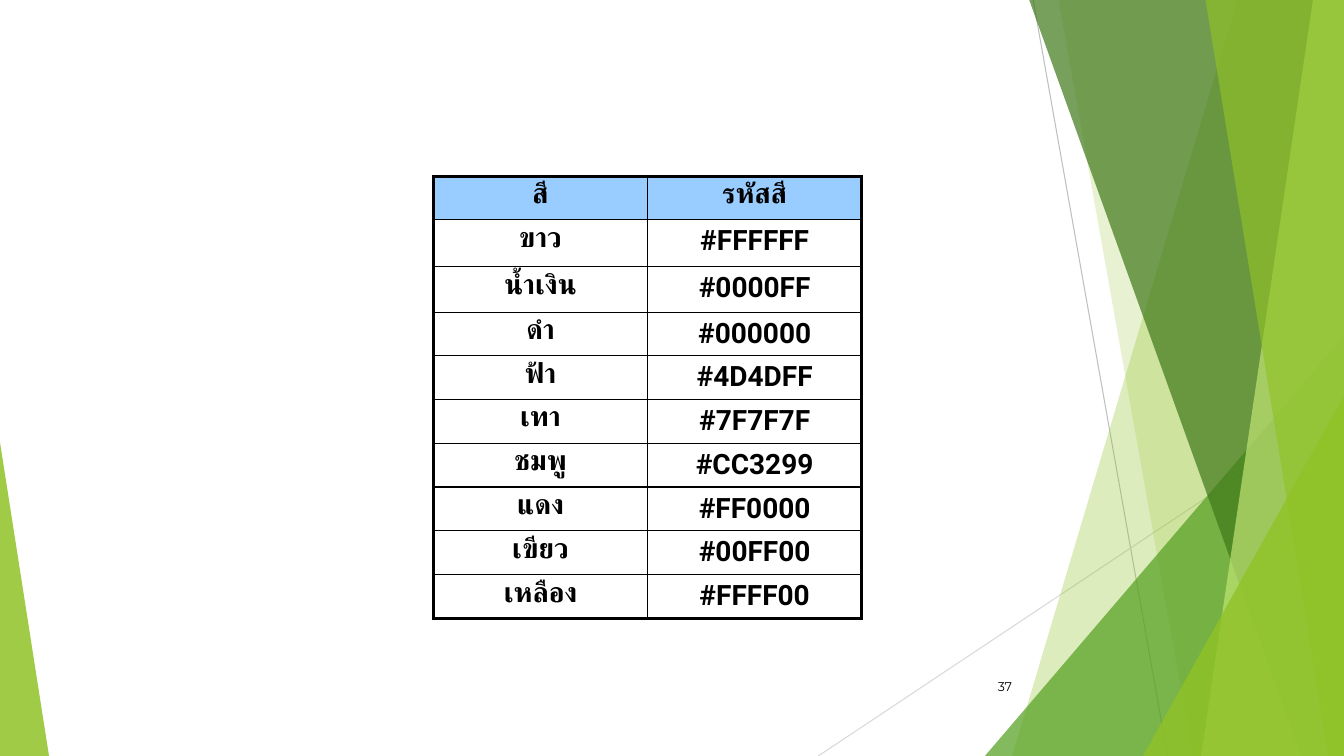
from lxml import etree
from pptx import Presentation
from pptx import util as u
from pptx.dml import color
from pptx.enum import shapes, text
from pptx.oxml import ns

C = {"black": "000000", "header": "99CCFF", "lime": "90C226", "pale": "C0E474",
     "green": "54A021", "dark": "3F7819", "gray": "BFBFBF", "silver": "D9D9D9"}


def add_text(tf, content, size, font, bold=False, align=text.PP_ALIGN.CENTER):
    p = tf.paragraphs[0]
    p.alignment = align
    r = p.add_run()
    r.text = content
    r.font.size = u.Pt(size)
    r.font.name = font
    r.font.bold = bold
    r.font.color.rgb = color.RGBColor.from_string(C["black"])


def paint(sp, name, opacity):
    sp.shadow.inherit = False
    sp.line.fill.background()
    sp.fill.solid()
    sp.fill.fore_color.rgb = color.RGBColor.from_string(C[name])
    rgb = sp.fill._xPr.find(".//" + ns.qn("a:srgbClr"))
    etree.SubElement(rgb, ns.qn("a:alpha"), val=str(opacity * 1000))


W, H, TOP = 960, 540, -0.6
prs = Presentation()
prs.slide_width, prs.slide_height = u.Pt(W), u.Pt(H)
s = prs.slides.add_slide(prs.slide_layouts[6])

for x1, y1, x2, y2, name in [(738, 0, 834, H, "gray"), (W, 290, 584.5, H, "silver")]:
    line = s.shapes.add_connector(shapes.MSO_CONNECTOR.STRAIGHT,
                                  u.Pt(x1), u.Pt(y1), u.Pt(x2), u.Pt(y2))
    line.line.width = u.Pt(0.75)
    line.line.color.rgb = color.RGBColor.from_string(C[name])
    etree.SubElement(line._element.spPr, ns.qn("a:effectLst"))

facets = [
    ("band", 884, 723, "lime", 30),
    ("band", 756, 852, "lime", 20),
    ("triangle", (703.5, 240, 256.5, 300), 1, "green", 72),
    ("band", 735, 929.5, "dark", 70),
    ("band", 938, 858, "pale", 70),
    ("band", 861, 949, "lime", 65),
    ("triangle", (816.5, 283, 143.5, 257), 1, "lime", 80),
    ("triangle", (0, 316, 35, 224), 0, "lime", 85),
]
for kind, a, b, name, opacity in facets:
    if kind == "band":
        outline = s.shapes.build_freeform(u.Pt(a), u.Pt(TOP))
        outline.add_line_segments([(u.Pt(x), u.Pt(y)) for x, y in [(W, TOP), (W, H), (b, H)]])
        sp = outline.convert_to_shape()
    else:
        sp = s.shapes.add_shape(shapes.MSO_SHAPE.ISOSCELES_TRIANGLE, *map(u.Pt, a))
        sp.adjustments[0] = b
    paint(sp, name, opacity)

rows = [("สี", "รหัสสี"), ("ขาว", "#FFFFFF"), ("น้ำเงิน", "#0000FF"), ("ดำ", "#000000"),
        ("ฟ้า", "#4D4DFF"), ("เทา", "#7F7F7F"), ("ชมพู", "#CC3299"), ("แดง", "#FF0000"),
        ("เขียว", "#00FF00"), ("เหลือง", "#FFFF00")]
heights = [31, 33.5, 32.5, 31] + [31.3] * 6
last = len(rows) - 1
table = s.shapes.add_table(len(rows), 2, u.Pt(309.6), u.Pt(126),
                           u.Pt(306), u.Pt(sum(heights))).table
table.first_row = table.horz_banding = False
for i, row in enumerate(rows):
    table.rows[i].height = u.Pt(heights[i])
    for j, content in enumerate(row):
        cell = table.cell(i, j)
        add_text(cell.text_frame, content, 20, "Roboto", bold=True)
        tcPr = cell._tc.get_or_add_tcPr()
        for tag, outer in [("lnL", j == 0), ("lnR", j == 1), ("lnT", i == 0), ("lnB", i == last)]:
            ln = etree.SubElement(tcPr, ns.qn("a:" + tag), w=str(u.Pt(2.25 if outer else 1)))
            fill = etree.SubElement(ln, ns.qn("a:solidFill"))
            etree.SubElement(fill, ns.qn("a:srgbClr"), val=C["black"])
        if i == 0:
            cell.fill.solid()
            cell.fill.fore_color.rgb = color.RGBColor.from_string(C["header"])
        else:
            cell.fill.background()

number = s.shapes.add_textbox(u.Pt(676), u.Pt(476), u.Pt(54), u.Pt(28.8))
tf = number.text_frame
tf.word_wrap = True
tf.vertical_anchor = text.MSO_ANCHOR.MIDDLE
add_text(tf, "37", 9, "Montserrat", align=text.PP_ALIGN.RIGHT)

prs.save("out.pptx")
